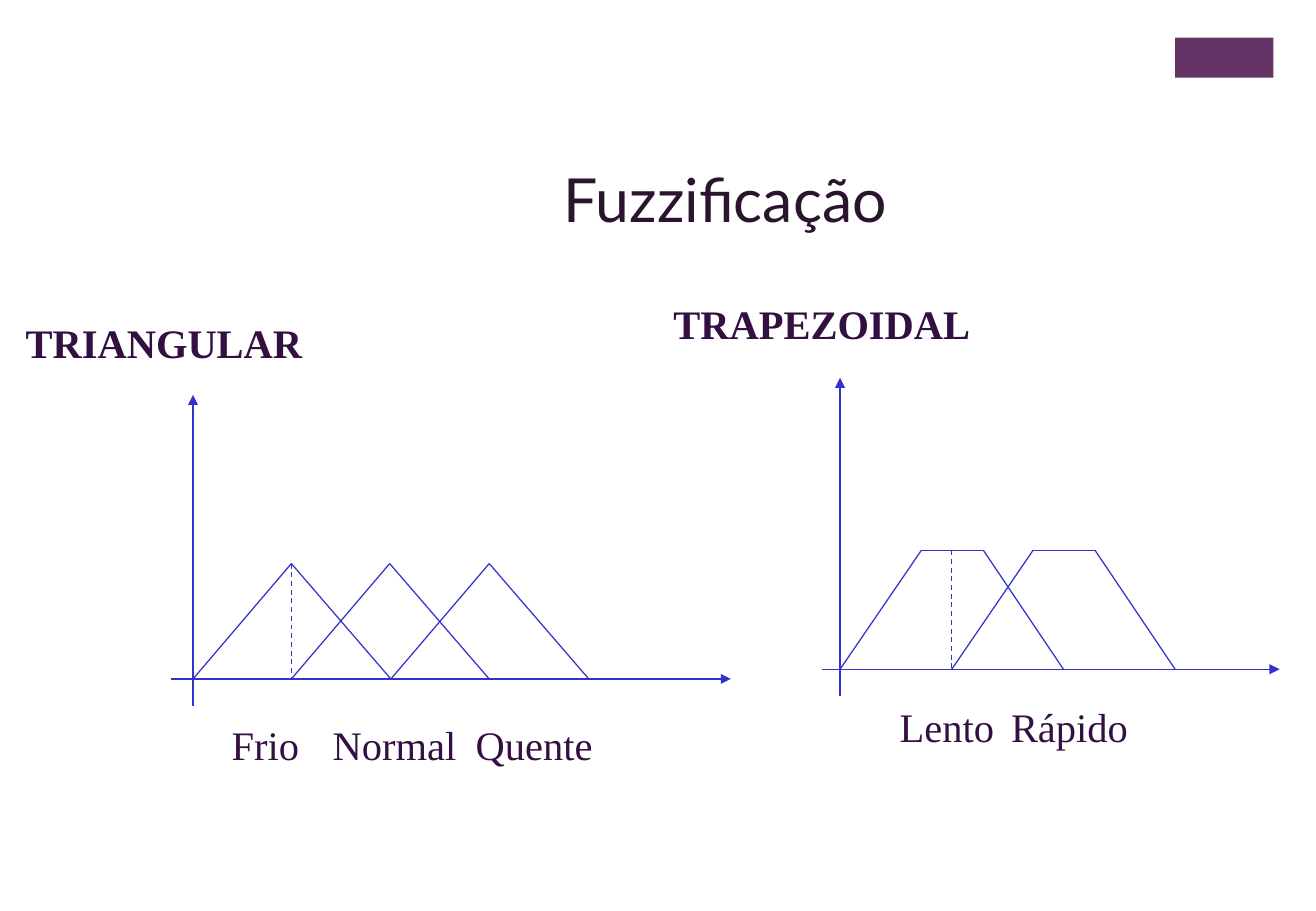
import itertools
from dataclasses import dataclass

import pptx
import pptx.dml.color
import pptx.enum.dml
import pptx.enum.shapes
import pptx.enum.text
import pptx.oxml.ns
import pptx.util
from lxml import etree

EMU_PER_PX = 9144


def px(n):
    return pptx.util.Emu(n * EMU_PER_PX)


def rgb(value):
    return pptx.dml.color.RGBColor.from_string(value)


@dataclass(frozen=True)
class Theme:
    accent: str = "663366"
    title: str = "2B142D"
    text: str = "330F42"
    line: str = "3333CC"
    title_font: str = "Lato"
    label_font: str = "Times New Roman"
    title_size: int = 36
    label_size: int = 24
    line_width: float = 0.75


class Canvas:
    """Draws themed elements on the current slide, with lengths in px."""

    def __init__(self, slide, theme):
        self.shapes = slide.shapes
        self.theme = theme

    def block(self, x, y, w, h):
        kind = pptx.enum.shapes.MSO_SHAPE.RECTANGLE
        sp = self.shapes.add_shape(kind, px(x), px(y), px(w), px(h))
        sp.shadow.inherit = False
        sp.fill.solid()
        sp.fill.fore_color.rgb = rgb(self.theme.accent)
        sp.line.fill.background()

    def text(self, text, x, y, w, h, font, size, color, bold=False):
        sp = self.shapes.add_textbox(px(x), px(y), px(w), px(h))
        tf = sp.text_frame
        tf.text = text
        p = tf.paragraphs[0]
        p.alignment = pptx.enum.text.PP_ALIGN.CENTER
        r = p.runs[0]
        r.font.name = font
        r.font.size = pptx.util.Pt(size)
        r.font.bold = bold
        r.font.color.rgb = rgb(color)
        return tf

    def title(self, text, x, y, w, h):
        t = self.theme
        tf = self.text(text, x, y, w, h, t.title_font, t.title_size, t.title)
        tf.word_wrap = True
        tf.vertical_anchor = pptx.enum.text.MSO_ANCHOR.BOTTOM

    def label(self, text, x, y, w, bold=False):
        t = self.theme
        tf = self.text(text, x, y, w, 50, t.label_font, t.label_size, t.text, bold)
        tf.word_wrap = False
        tf.auto_size = pptx.enum.text.MSO_AUTO_SIZE.SHAPE_TO_FIT_TEXT

    def line(self, start, end, arrow=False, dashed=False):
        kind = pptx.enum.shapes.MSO_CONNECTOR.STRAIGHT
        sp = self.shapes.add_connector(kind, *map(px, start + end))
        sp.line.color.rgb = rgb(self.theme.line)
        sp.line.width = pptx.util.Pt(self.theme.line_width)
        if dashed:
            sp.line.dash_style = pptx.enum.dml.MSO_LINE.DASH
        if arrow:
            ln = sp.line._get_or_add_ln()
            etree.SubElement(ln, pptx.oxml.ns.qn("a:tailEnd"), type="triangle")
        etree.SubElement(sp._element.spPr, pptx.oxml.ns.qn("a:effectLst"))

    def polyline(self, points):
        for start, end in itertools.pairwise(points):
            self.line(start, end)

    def axes(self, origin, left, right, top, bottom):
        x, y = origin
        self.line((x, bottom), (x, top), arrow=True)
        self.line((left, y), (right, y), arrow=True)

    def memberships(self, starts, profile, base, peak):
        heights = [base] + [peak] * (len(profile) - 2) + [base]
        for start in starts:
            self.polyline([(start + dx, y) for dx, y in zip(profile, heights)])
        self.line((starts[1], peak), (starts[1], base), dashed=True)


def main():
    prs = pptx.Presentation()
    prs.slide_width, prs.slide_height = px(1084), px(750)
    s = Canvas(prs.slides.add_slide(prs.slide_layouts[6]), Theme())

    s.block(968, 31, 81, 33)
    s.title("Fuzzificação", 136, 38, 923, 160)

    s.label("TRIANGULAR", 9, 257, 252, bold=True)
    s.axes((159, 559), left=141, right=602, top=325, bottom=581)
    s.memberships((159, 240, 322), (0, 81, 163), base=559, peak=464)
    for text, x, w in (("Frio", 179, 79), ("Normal", 262, 126), ("Quente", 380, 120)):
        s.label(text, x, 588, w)

    s.label("TRAPEZOIDAL", 543, 241, 268, bold=True)
    s.axes((692, 551), left=677, right=1054, top=311, bottom=573)
    s.memberships((692, 784), (0, 67, 118, 184), base=551, peak=453)
    for text, x, w in (("Lento", 729, 102), ("Rápido", 821, 120)):
        s.label(text, x, 573, w)

    prs.save("out.pptx")


if __name__ == "__main__":
    main()
